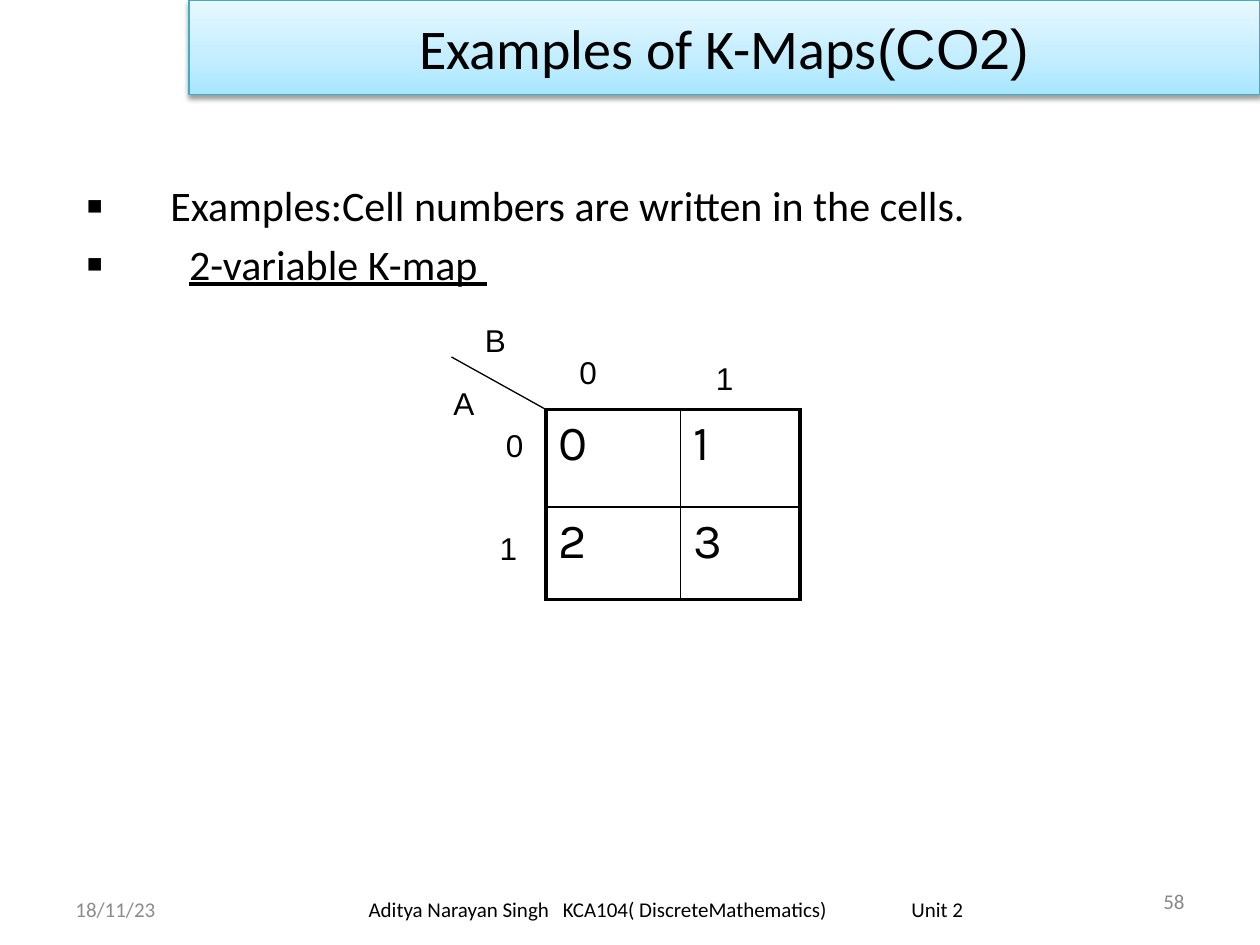
from lxml.etree import SubElement as Sub
from pptx import Presentation
from pptx.dml.color import RGBColor as RGB
from pptx.enum.shapes import MSO_CONNECTOR as Link, MSO_SHAPE as Form
from pptx.enum.text import MSO_ANCHOR as Anchor, PP_ALIGN as Align
from pptx.oxml.ns import qn
from pptx.util import Inches, Pt

BLACK = RGB(0x00, 0x00, 0x00)
GREY = RGB(0x8C, 0x8C, 0x8C)
PALE = RGB(0x89, 0x89, 0x89)
EDGE = RGB(0x46, 0xAA, 0xC5)
DEEP = RGB(0xA7, 0xE6, 0xFF)
SOFT = RGB(0xC1, 0xED, 0xFF)
LIGHT = RGB(0xE7, 0xF8, 0xFF)

COLS, ROWS = 120, 90
CELL = Inches(10) / COLS
THICK, THIN = 2.25, 1


def grid(*units):
    return [round(unit * CELL) for unit in units]


def node(host, tag, **attrs):
    return Sub(host, qn(tag), {key: str(val) for key, val in attrs.items()})


def paint(host, color, alpha=None):
    tint = node(host, "a:srgbClr", val=color)
    if alpha:
        node(tint, "a:alpha", val=alpha)


def style(para, size, face=None, color=BLACK):
    para.font.size = Pt(size)
    para.font.color.rgb = color
    if face:
        para.font.name = face


def label(slide, text, area, size, face, color=BLACK, align=Align.LEFT,
          anchor=Anchor.MIDDLE, wrap=True):
    frame = slide.shapes.add_textbox(*grid(*area)).text_frame
    frame.word_wrap = wrap
    frame.vertical_anchor = anchor
    para = frame.paragraphs[0]
    para.text = text
    para.alignment = align
    style(para, size, face, color)
    return frame


def banner(slide, parts, area):
    box = slide.shapes.add_shape(Form.RECTANGLE, *grid(*area))
    box.fill.gradient()
    box.fill.gradient_angle = 90
    stops = box.fill.gradient_stops
    stops[0].color.rgb, stops[1].color.rgb = DEEP, LIGHT
    stops[0].position, stops[1].position = 0, 1
    middle = node(box._element.spPr.find(".//" + qn("a:gsLst")), "a:gs", pos=35000)
    paint(middle, SOFT)
    middle.getparent().insert(1, middle)
    box.line.color.rgb = EDGE
    box.line.width = Pt(0.75)
    box.shadow.inherit = False
    glow = node(box._element.spPr.find(qn("a:effectLst")), "a:outerShdw",
                blurRad=Pt(3.1), dist=Pt(1.6), dir=5400000, rotWithShape=0)
    paint(glow, BLACK, 38000)
    box.text_frame.vertical_anchor = Anchor.MIDDLE
    para = box.text_frame.paragraphs[0]
    para.alignment = Align.CENTER
    style(para, 32)
    for text, face in parts:
        run = para.add_run()
        run.text = text
        run.font.name = face


def points(slide, items, area):
    frame = slide.shapes.add_textbox(*grid(*area)).text_frame
    frame.word_wrap = True
    for index, (text, indent, under) in enumerate(items):
        para = frame.add_paragraph() if index else frame.paragraphs[0]
        props = para._p.get_or_add_pPr()
        props.set("marL", str(Inches(indent)))
        props.set("indent", str(-Inches(indent)))
        node(props, "a:buSzPct", val=120000)
        node(props, "a:buFont", typeface="Arial")
        node(props, "a:buChar", char="▪")
        para.space_before = Pt(4.8)
        style(para, 24, "Calibri")
        run = para.add_run()
        run.text = text
        if under:
            run.font.underline = True


def border(cell, sides):
    props = cell._tc.get_or_add_tcPr()
    for tag, width in sides:
        line = node(props, tag, w=Pt(width))
        paint(node(line, "a:solidFill"), BLACK)


def kmap(slide, rows, spot, widths, heights):
    area = grid(*spot, sum(widths), sum(heights))
    table = slide.shapes.add_table(len(heights), len(widths), *area).table
    table.first_row = table.horz_banding = False
    for col, width in zip(table.columns, grid(*widths)):
        col.width = width
    for row, height in zip(table.rows, grid(*heights)):
        row.height = height
    for r, row in enumerate(rows):
        for c, text in enumerate(row):
            cell = table.cell(r, c)
            outer = (("a:lnL", c == 0), ("a:lnR", c == len(row) - 1),
                     ("a:lnT", r == 0), ("a:lnB", r == len(rows) - 1))
            border(cell, [(tag, THICK if rim else THIN) for tag, rim in outer])
            cell.fill.background()
            para = cell.text_frame.paragraphs[0]
            para.text = text
            para.space_before = Pt(5.6)
            style(para, 28, "Karla")


def stroke(slide, start, end):
    line = slide.shapes.add_connector(Link.STRAIGHT, *grid(*start, *end))
    line.line.color.rgb = BLACK
    line.line.width = Pt(0.75)
    node(line._element.spPr, "a:effectLst")


def footer(slide, parts, area, stops):
    frame = slide.shapes.add_textbox(*grid(*area)).text_frame
    frame.word_wrap = True
    frame.vertical_anchor = Anchor.MIDDLE
    frame.margin_left = 0
    para = frame.paragraphs[0]
    para.text = "\t".join(parts)
    tabs = node(para._p.get_or_add_pPr(), "a:tabLst")
    for stop in grid(*stops):
        node(tabs, "a:tab", pos=stop, algn="l")
    style(para, 12, "Calibri")


def main():
    deck = Presentation()
    deck.slide_width, deck.slide_height = grid(COLS, ROWS)
    slide = deck.slides.add_slide(deck.slide_layouts[6])
    points(slide, [("Examples:Cell numbers are written in the cells.", 0.67, False),
                   ("2-variable K-map ", 0.82, True)], (7, 16.5, 108, 59.5))
    banner(slide, [("Examples of K-Maps", "Calibri"), ("(CO2)", "Arial")],
           (18, 0, 102, 9))
    kmap(slide, ["01", "23"], (52, 39), (12.8, 11.4), (9.3, 8.8))
    stroke(slide, (43, 34), (52, 39))
    for text, x, y in [("B", 45, 30), ("A", 42, 36), ("0", 54, 33),
                       ("1", 67, 33.6), ("0", 47, 40), ("1", 46.4, 49.8)]:
        label(slide, text, (x, y, 4.2, 4.8), 18, "Arial",
              anchor=Anchor.TOP, wrap=False)
    label(slide, "18/11/23", (6, 84.2, 28, 4.8), 12, "Calibri", GREY)
    label(slide, "58", (86, 83.4, 28, 4.8), 12, "Calibri", PALE, Align.RIGHT)
    footer(slide, ["Aditya Narayan Singh", "KCA104( DiscreteMathematics)", "Unit 2"],
           (35.1, 84.2, 62, 4.8), (18.5, 51.7))
    deck.save("out.pptx")


if __name__ == "__main__":
    main()
